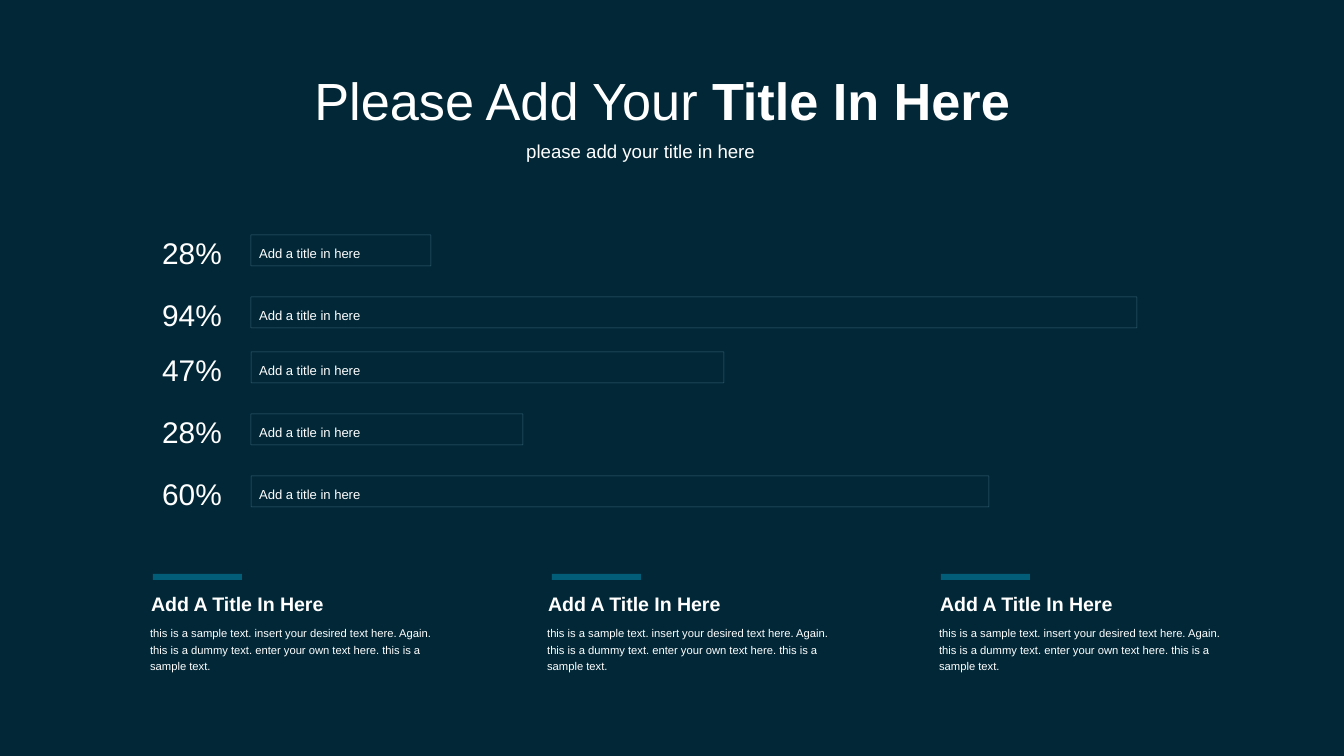
from lxml.etree import SubElement
from pptx import Presentation
from pptx.dml.color import RGBColor
from pptx.enum.shapes import MSO_SHAPE as Shape
from pptx.enum.text import MSO_ANCHOR as Anchor, MSO_AUTO_SIZE as Auto, PP_ALIGN as Align
from pptx.oxml.ns import qn
from pptx.util import Pt

# Content
TITLE = [("Please Add Your ", False), ("Title In Here", True)]
SUB = "please add your title in here"
LABEL = "Add a title in here"
BARS = [  # share, top, width
    ("28%", 235, 180),
    ("94%", 297, 886),
    ("47%", 352, 473),
    ("28%", 414, 272),
    ("60%", 476, 738),
]
HEAD = "Add A Title In Here"
BODY = ("this is a sample text. insert your desired text here. Again. "
        "this is a dummy text. enter your own text here. this is a sample text.")
NOTES = [(138, 153), (535, 552), (927, 941)]  # text left, accent left

# Look
FONT = "Arial"
NAVY = RGBColor(0x02, 0x28, 0x38)
TEAL = RGBColor(0x02, 0x5D, 0x79)
SKY = RGBColor(0xA4, 0xE2, 0xFE)
WHITE = RGBColor(0xFF, 0xFF, 0xFF)
WIDE, HIGH = 1344, 756
SCALE = 9144000 / WIDE


def px(*nums):
    return [round(n * SCALE) for n in nums]


prs = Presentation()
prs.slide_width, prs.slide_height = px(WIDE, HIGH)
slide = prs.slides.add_slide(prs.slide_layouts[5])
slide.background.fill.solid()
slide.background.fill.fore_color.rgb = NAVY


def write(text, left, top, width, height, size, bold=False, lead=None, wrap=True, box=None):
    """Put text, or a list of (text, bold) runs, into a box."""
    box = box or slide.shapes.add_textbox(0, 0, 0, 0)
    box.left, box.top, box.width, box.height = px(left, top, width, height)
    frame = box.text_frame
    frame.word_wrap = wrap
    frame.auto_size = Auto.SHAPE_TO_FIT_TEXT
    frame.vertical_anchor = Anchor.TOP
    para = frame.paragraphs[0]
    para.alignment = Align.LEFT
    if lead:
        para.line_spacing = Pt(lead)
    for words, heavy in [(text, bold)] if isinstance(text, str) else text:
        run = para.add_run()
        run.text = words
        font = run.font
        font.name, font.size, font.bold = FONT, Pt(size), heavy
        font.color.rgb = WHITE


def rect(left, top, width, height):
    shape = slide.shapes.add_shape(Shape.RECTANGLE, *px(left, top, width, height))
    shape.shadow.inherit = False
    return shape


# Title and subtitle
write(TITLE, 301, 61, 731, 77, 28, wrap=False, box=slide.shapes.title)
write(SUB, 513, 133, 257, 36, 10, wrap=False)

# Bars with share and label
for share, top, width in BARS:
    write(share, 149, top - 7, 87, 50, 16, wrap=False)
    write(LABEL, 246, top - 3, 130, 36, 7, lead=12)
    bar = rect(251, top, width, 31)
    bar.fill.background()
    bar.line.width = Pt(0.25)
    bar.line.color.rgb = SKY
    tint = bar.line.fill.fore_color  # colour is set; its alpha needs XML
    for color in bar.element.spPr.iter(qn("a:srgbClr")):
        SubElement(color, qn("a:alpha"), val="30000")

# Notes with accent strips
for left, strip in NOTES:
    accent = rect(strip, 574, 89, 6)
    accent.fill.solid()
    accent.fill.fore_color.rgb = TEAL
    accent.line.fill.background()
    write(HEAD, left, 586, 251, 36, 10.5, bold=True, lead=12)
    write(BODY, left - 1, 616, 327, 63, 6, lead=9)

prs.save("out.pptx")
